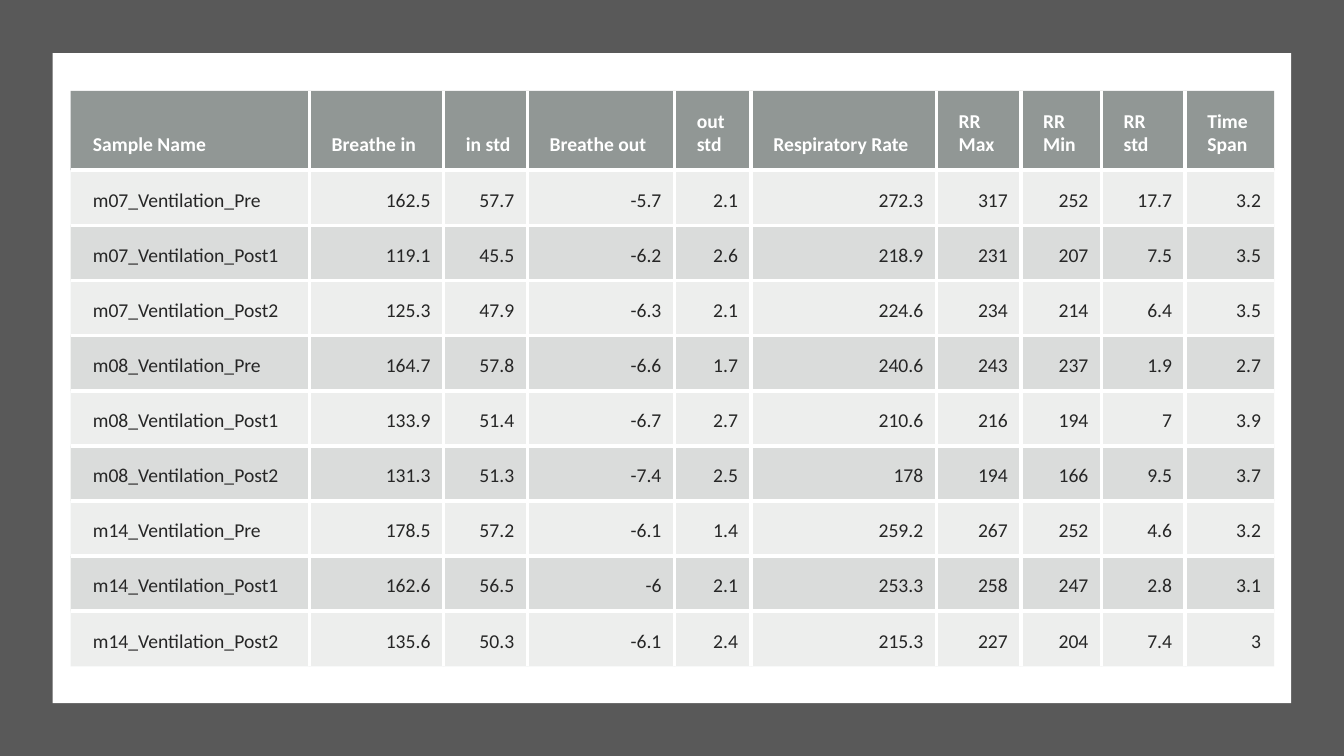
from typing import NamedTuple

from lxml import etree
from pptx import Presentation
from pptx.dml.color import RGBColor
from pptx.enum.shapes import MSO_SHAPE
from pptx.enum.text import MSO_ANCHOR, PP_ALIGN
from pptx.oxml.ns import qn
from pptx.util import Cm, Pt

RECT = MSO_SHAPE.RECTANGLE
BOTTOM = MSO_ANCHOR.BOTTOM
LEFT, RIGHT = PP_ALIGN.LEFT, PP_ALIGN.RIGHT

WIDTH, HEIGHT = 33.87, 19.05
WHITE, INK = "FFFFFF", "262626"
HEAD_ROW, BODY_ROW = 2.0, 1.39
RULE = Pt(3)


class Panel(NamedTuple):
    left: float
    top: float
    width: float
    height: float
    color: str


class Column(NamedTuple):
    head: str
    width: float


class Look(NamedTuple):
    fill: str
    alpha: int
    ink: str
    bold: bool


PANELS = [
    Panel(0, 0, WIDTH, HEIGHT, "595959"),
    Panel(1.33, 1.34, 31.21, 16.38, WHITE),
]

COLUMNS = [
    Column("Sample Name", 6.02),
    Column("Breathe in", 3.38),
    Column("in std", 2.11),
    Column("Breathe out", 3.71),
    Column("out std", 1.93),
    Column("Respiratory Rate", 4.67),
    Column("RR Max", 2.13),
    Column("RR Min", 2.03),
    Column("RR std", 2.11),
    Column("Time Span", 2.24),
]

SAMPLES = [
    ("m07_Ventilation_Pre", 162.5, 57.7, -5.7, 2.1, 272.3, 317, 252, 17.7, 3.2),
    ("m07_Ventilation_Post1", 119.1, 45.5, -6.2, 2.6, 218.9, 231, 207, 7.5, 3.5),
    ("m07_Ventilation_Post2", 125.3, 47.9, -6.3, 2.1, 224.6, 234, 214, 6.4, 3.5),
    ("m08_Ventilation_Pre", 164.7, 57.8, -6.6, 1.7, 240.6, 243, 237, 1.9, 2.7),
    ("m08_Ventilation_Post1", 133.9, 51.4, -6.7, 2.7, 210.6, 216, 194, 7, 3.9),
    ("m08_Ventilation_Post2", 131.3, 51.3, -7.4, 2.5, 178, 194, 166, 9.5, 3.7),
    ("m14_Ventilation_Pre", 178.5, 57.2, -6.1, 1.4, 259.2, 267, 252, 4.6, 3.2),
    ("m14_Ventilation_Post1", 162.6, 56.5, -6, 2.1, 253.3, 258, 247, 2.8, 3.1),
    ("m14_Ventilation_Post2", 135.6, 50.3, -6.1, 2.4, 215.3, 227, 204, 7.4, 3),
]

HEAD = Look("636B68", 70, WHITE, True)
BANDS = [Look("878E8B", alpha, INK, False) for alpha in (15, 30)]


def paint(fill, color: str, alpha: int = 100) -> None:
    fill.solid()
    fill.fore_color.rgb = RGBColor.from_string(color)


def draw_panel(slide, panel: Panel) -> None:
    box = [Cm(size) for size in panel[:4]]
    shape = slide.shapes.add_shape(RECT, *box)
    shape.shadow.inherit = False
    paint(shape.fill, panel.color)
    shape.line.fill.background()


def fade(cell, alpha: int) -> None:
    """Make the solid fill of a cell partly transparent."""
    color = cell._tc.tcPr.find(f"{qn('a:solidFill')}/{qn('a:srgbClr')}")
    etree.SubElement(color, qn("a:alpha"), val=str(alpha * 1000))


def rule(cell, row: int, col: int) -> None:
    """Draw white rules between cells and none round the table."""
    inner = {
        "L": col > 0,
        "R": col < len(COLUMNS) - 1,
        "T": row > 0,
        "B": row < len(SAMPLES),
    }
    props = cell._tc.get_or_add_tcPr()
    for spot, (side, shown) in enumerate(inner.items()):
        line = etree.Element(qn(f"a:ln{side}"), w=str(RULE if shown else 0))
        if shown:
            fill = etree.SubElement(line, qn("a:solidFill"))
            etree.SubElement(fill, qn("a:srgbClr"), val=WHITE)
        else:
            etree.SubElement(line, qn("a:noFill"))
        props.insert(spot, line)


def write(cell, text: str, look: Look, align) -> None:
    cell.vertical_anchor = BOTTOM
    cell.margin_left = Cm(0.56)
    cell.margin_top = cell.margin_right = cell.margin_bottom = Cm(0.33)
    para = cell.text_frame.paragraphs[0]
    para.alignment = align
    run = para.add_run()
    run.text = text
    font = run.font
    font.name, font.size, font.bold = "Calibri", Pt(14), look.bold
    paint(font.fill, look.ink)


def draw_table(slide) -> None:
    lines = [tuple(column.head for column in COLUMNS), *SAMPLES]
    width = sum(column.width for column in COLUMNS)
    height = HEAD_ROW + BODY_ROW * len(SAMPLES)
    frame = slide.shapes.add_table(
        len(lines), len(COLUMNS), Cm(1.78), Cm(2.29), Cm(width), Cm(height)
    )
    table = frame.table
    table.horz_banding = False
    for col, column in enumerate(COLUMNS):
        table.columns[col].width = Cm(column.width)
    for row, line in enumerate(lines):
        table.rows[row].height = Cm(BODY_ROW if row else HEAD_ROW)
        look = BANDS[(row - 1) % 2] if row else HEAD
        for col, value in enumerate(line):
            cell = table.cell(row, col)
            write(cell, str(value), look, RIGHT if row and col else LEFT)
            paint(cell.fill, look.fill)
            fade(cell, look.alpha)
            rule(cell, row, col)


def main() -> None:
    deck = Presentation()
    deck.slide_width, deck.slide_height = Cm(WIDTH), Cm(HEIGHT)
    slide = deck.slides.add_slide(deck.slide_layouts[6])
    for panel in PANELS:
        draw_panel(slide, panel)
    draw_table(slide)
    deck.save("out.pptx")


if __name__ == "__main__":
    main()
